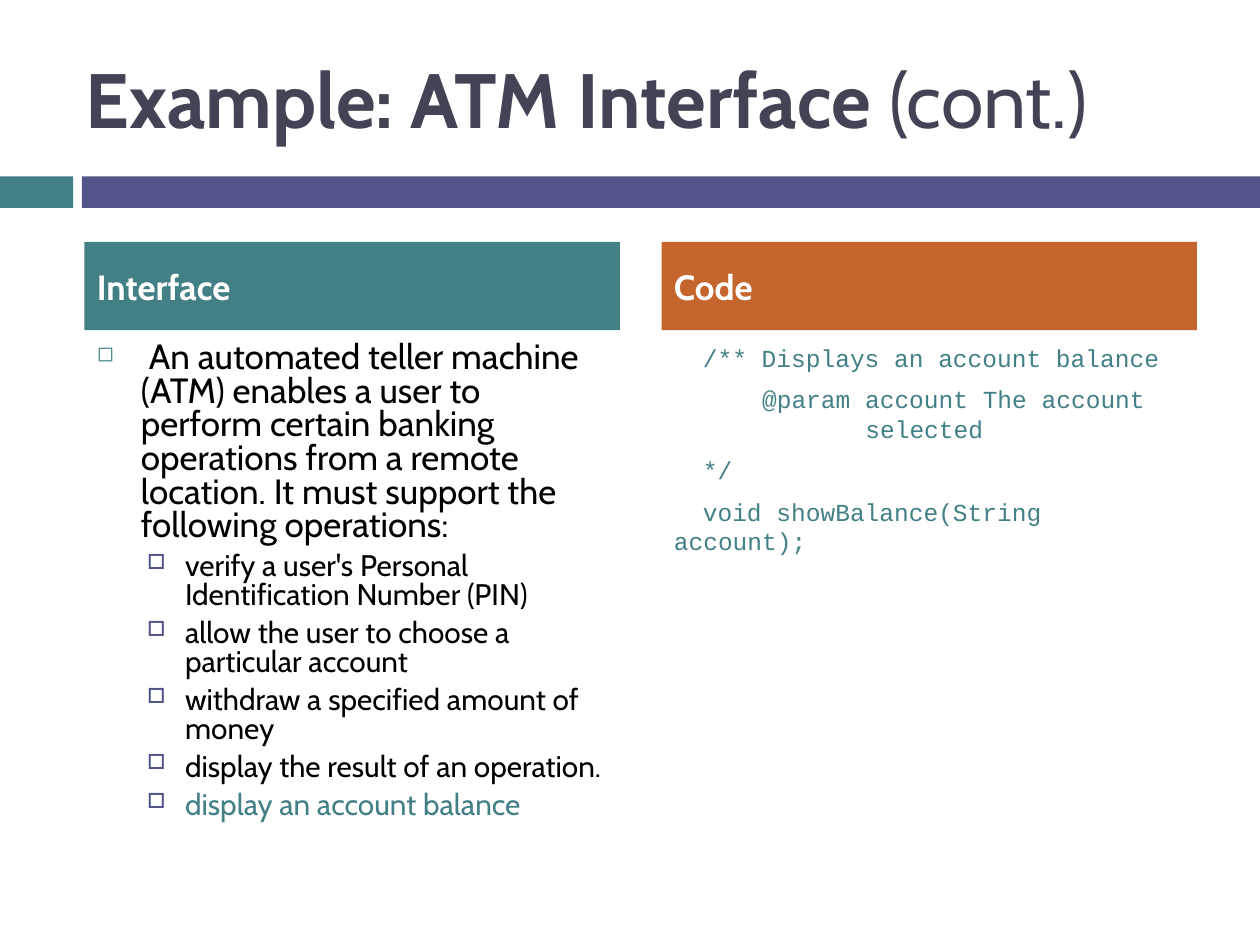
from pptx import Presentation
from pptx.dml.color import RGBColor
from pptx.enum.shapes import MSO_SHAPE
from pptx.enum.text import MSO_ANCHOR, MSO_AUTO_SIZE, PP_ALIGN
from pptx.util import Inches, Pt
from lxml import etree
from pptx.oxml.ns import qn

TEAL = RGBColor(0x43, 0x80, 0x86)
PURPLE = RGBColor(0x53, 0x54, 0x8A)
ORANGE = RGBColor(0xC4, 0x65, 0x2D)
SLATE = RGBColor(0x42, 0x44, 0x56)
BLACK = RGBColor(0, 0, 0)
WHITE = RGBColor(0xFF, 0xFF, 0xFF)
FONT, MONO = "Cabin", "Courier New"
LEFT, RIGHT, COLUMN_W = 0.67, 5.25, 4.25
HEAD_Y, HEAD_H, BODY_Y, BODY_H = 1.92, 0.7, 2.67, 3.92

INTRO = (" An automated teller machine (ATM) enables a user to perform certain banking "
         "operations from a remote location. It must support the following operations:")
OPERATIONS = [
    ("verify a user's Personal Identification Number (PIN)", BLACK),
    ("allow the user to choose a particular account", BLACK),
    ("withdraw a specified amount of money", BLACK),
    ("display the result of an operation.", BLACK),
    ("display an account balance", TEAL),
]
CODE = [
    ("/** Displays an account balance", 0.23, 0),
    ("@param account The account selected", 1.52, -0.82),
    ("*/", 0.23, 0),
    ("void showBalance(String account);", 0, 0.23),
]


class Deck:
    """Holds the style and the current slide, and adds its elements."""

    def __init__(self):
        self.prs = Presentation()
        self.prs.slide_width, self.prs.slide_height = Inches(10), Inches(7.5)
        self.s = self.prs.slides.add_slide(self.prs.slide_layouts[5])

    def style(self, r, size, color, font=FONT, bold=False):
        r.font.name, r.font.size, r.font.bold = font, Pt(size), bold
        r.font.color.rgb = color

    def title(self, parts, x, y, w, h):
        sp = self.s.shapes.title
        sp.left, sp.top, sp.width, sp.height = map(Inches, (x, y, w, h))
        tf = sp.text_frame
        tf.auto_size, tf.vertical_anchor = MSO_AUTO_SIZE.NONE, MSO_ANCHOR.MIDDLE
        p = tf.paragraphs[0]
        p.alignment = PP_ALIGN.LEFT
        for text, bold in parts:
            r = p.add_run()
            r.text = text
            self.style(r, 44, SLATE, bold=bold)

    def bar(self, x, y, w, h, color):
        sp = self.s.shapes.add_shape(MSO_SHAPE.RECTANGLE, *map(Inches, (x, y, w, h)))
        sp.shadow.inherit = False
        sp.fill.solid()
        sp.fill.fore_color.rgb = color
        sp.line.fill.background()
        return sp

    def heading(self, text, x, color):
        tf = self.bar(x, HEAD_Y, COLUMN_W, HEAD_H, color).text_frame
        tf.word_wrap, tf.vertical_anchor = True, MSO_ANCHOR.MIDDLE
        tf.text = text
        p = tf.paragraphs[0]
        p.alignment, p.space_before = PP_ALIGN.LEFT, Pt(7)
        self.style(p.runs[0], 20, WHITE, bold=True)

    def column(self, x):
        box = self.s.shapes.add_textbox(*map(Inches, (x, BODY_Y, COLUMN_W, BODY_H)))
        box.text_frame.word_wrap = True
        return box.text_frame

    def paragraph(self, tf, text, size, color, margin, indent, font=FONT, before=7, spacing=None):
        p = tf.paragraphs[0] if not tf.text else tf.add_paragraph()
        p.text = text
        p.space_before, p.line_spacing = Pt(before), spacing
        self.style(p.runs[0], size, color, font)
        pPr = p._p.get_or_add_pPr()
        pPr.set("marL", str(Inches(margin)))
        pPr.set("indent", str(Inches(indent)))
        return p

    def bullet(self, p, char, color, percent):
        pPr = p._p.get_or_add_pPr()
        buClr = etree.SubElement(pPr, qn("a:buClr"))
        etree.SubElement(buClr, qn("a:srgbClr"), val=str(color))
        etree.SubElement(pPr, qn("a:buSzPct"), val=str(percent * 1000))
        etree.SubElement(pPr, qn("a:buChar"), char=char)


def main():
    deck = Deck()
    deck.bar(0, 1.4, 0.58, 0.25, TEAL)
    deck.bar(0.65, 1.4, 9.35, 0.25, PURPLE)
    deck.title([("Example: ATM Interface ", True), ("(cont.)", False)], 0.58, 0.3, 8.92, 0.95)

    deck.heading("Interface", LEFT, TEAL)
    tf = deck.column(LEFT)
    p = deck.paragraph(tf, INTRO, 20, BLACK, 0.35, -0.35, spacing=0.8)
    deck.bullet(p, "\u25fb", TEAL, 60)
    for text, color in OPERATIONS:
        p = deck.paragraph(tf, text, 17, color, 0.7, -0.3, before=5.5, spacing=0.8)
        p.level = 1
        deck.bullet(p, "\u25a1", PURPLE, 70)

    deck.heading("Code", RIGHT, ORANGE)
    tf = deck.column(RIGHT)
    for text, margin, indent in CODE:
        deck.paragraph(tf, text, 14, TEAL, margin, indent, font=MONO)

    deck.prs.save("out.pptx")


main()
